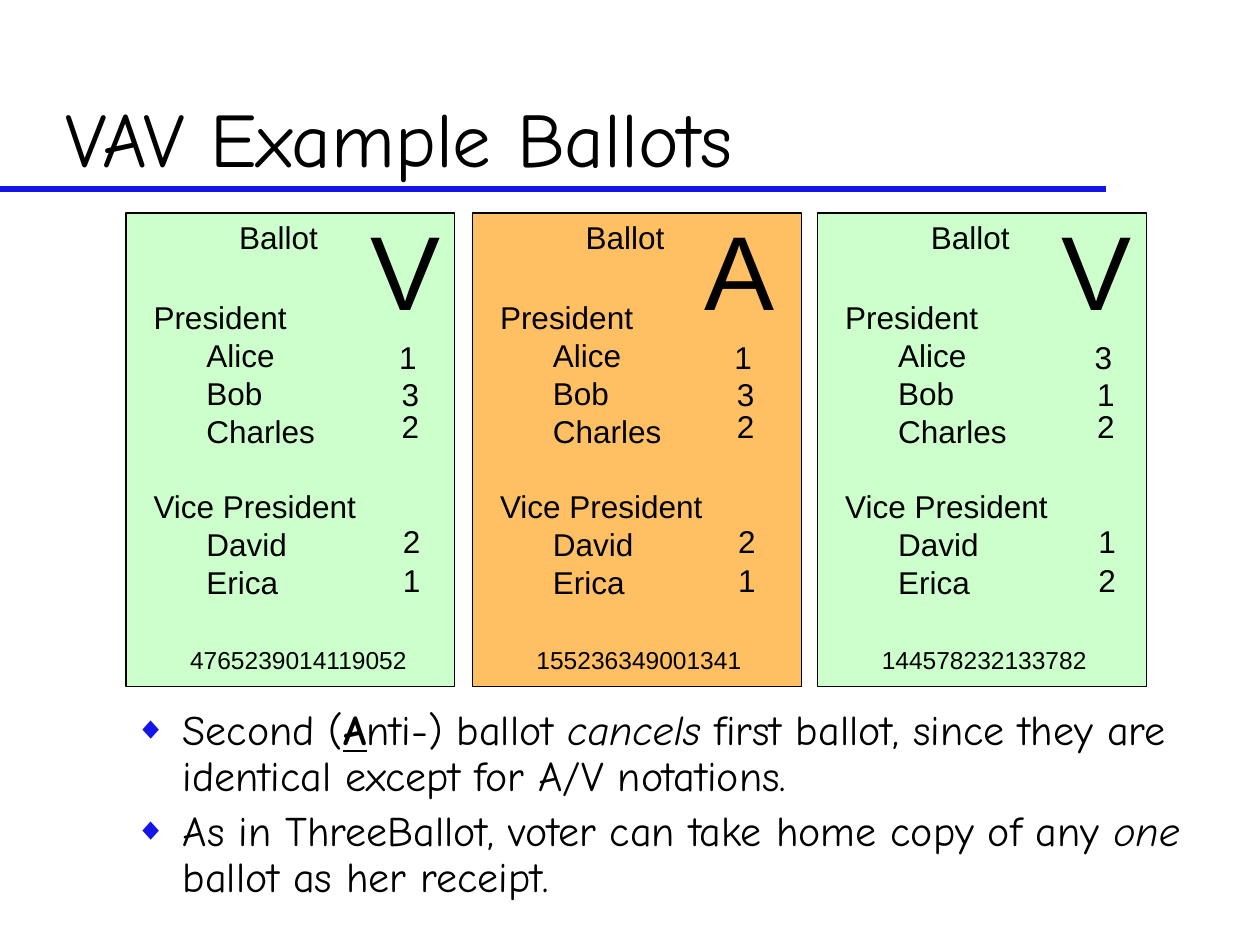
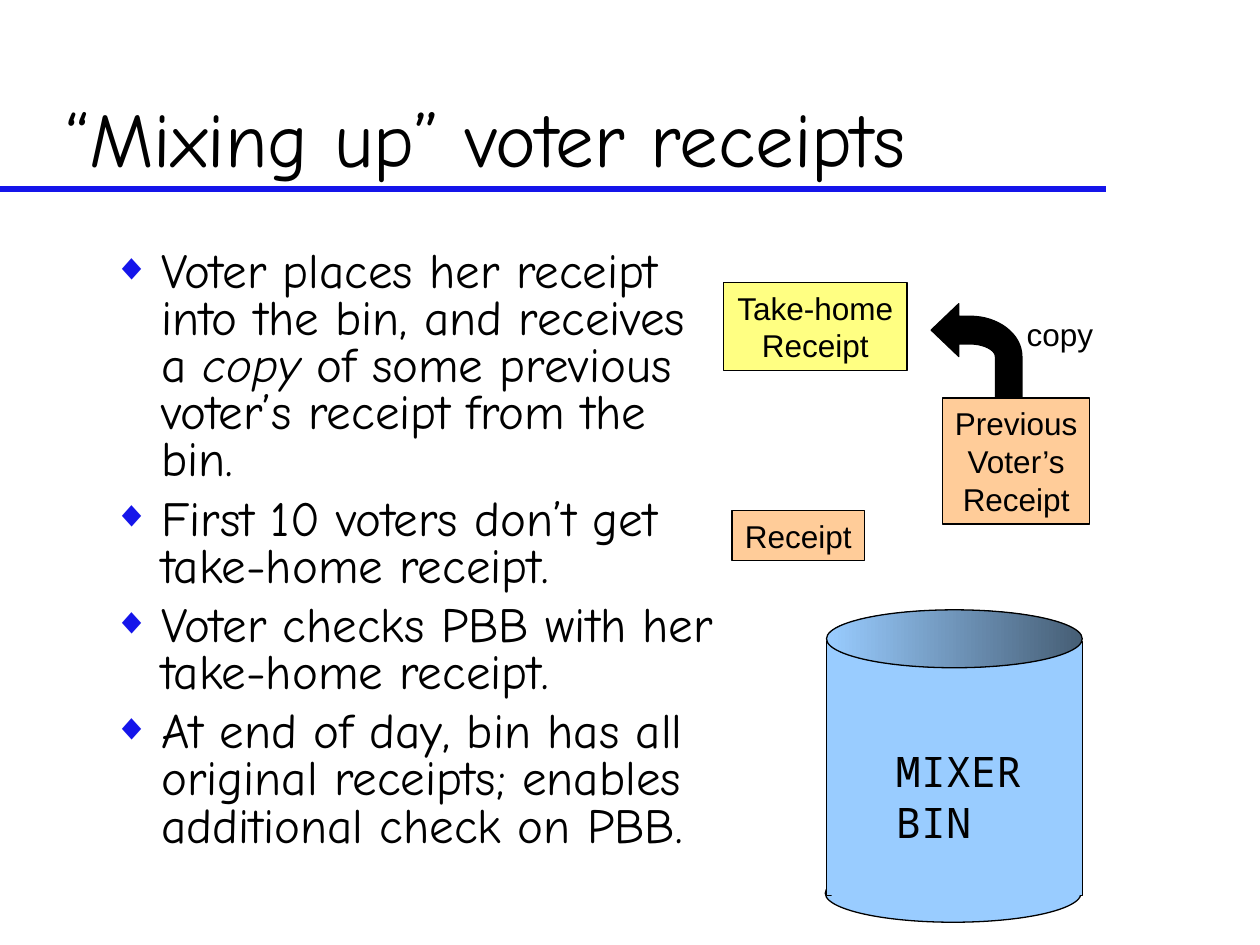
"""Build two slides on VAV example ballots and the mixing of voter receipts."""
from dataclasses import dataclass, field
from typing import Any, NamedTuple

from lxml import etree
from pptx import Presentation
from pptx import slide as sl
from pptx import util as u
from pptx.dml import color as c
from pptx.enum import shapes as es
from pptx.enum import text as et
from pptx.oxml import ns


@dataclass(frozen=True)
class Theme:
    """Hold the colours, fonts and type sizes of the deck."""
    ink: str = "000000"
    accent: str = "1515EA"
    vote: str = "CCFFCC"
    anti: str = "FF9900"
    receipt: str = "FFCC99"
    take_home: str = "FFFF00"
    bin: str = "99CCFF"
    bin_shade: str = "465E75"
    hand: str = "Comic Neue"
    plain: str = "Arial"
    mono: str = "Noto Sans Mono"
    title: float = 44
    label: float = 18
    serial: float = 14
    letter: float = 60
    bin_name: float = 24
    hairline: float = 0.75
    rule: float = 4


class Area(NamedTuple):
    """Place an object by left, top, width and height in inches."""
    left: float
    top: float
    width: float
    height: float

    def lengths(self) -> list[u.Length]:
        """Return the four values as lengths."""
        return [u.Inches(value) for value in self]


class Span(NamedTuple):
    """Describe a stretch of text and its own font values."""
    text: str
    values: dict[str, Any] = {}


@dataclass(frozen=True)
class Para:
    """Describe a paragraph and its paragraph values."""
    spans: list[Span]
    values: dict[str, Any] = field(default_factory=dict)
    indent: float = 0


class Ballot(NamedTuple):
    """Describe one ballot, its letter and its marks."""
    left: float
    letter: str
    letter_left: float
    marks_left: float
    marks: str
    serial: str
    fill: str
    alpha: int = 100


class Label(NamedTuple):
    """Describe a filled box with centred lines."""
    area: Area
    lines: list[str]
    fill: str
    alpha: int = 100


THEME = Theme()
ITALIC = {"italic": True}
CENTRED = {"alignment": et.PP_ALIGN.CENTER}
GROWING = {"word_wrap": False, "auto_size": et.MSO_AUTO_SIZE.SHAPE_TO_FIT_TEXT}
FIXED = {"word_wrap": False, "auto_size": et.MSO_AUTO_SIZE.NONE}
FITTED = {"word_wrap": True, "auto_size": et.MSO_AUTO_SIZE.NONE}

BALLOTS = [
    Ballot(1, "V", 2.84, 3.09, "13221", "4765239014119052", THEME.vote),
    Ballot(3.75, "A", 5.49, 5.75, "13221", "155236349001341", THEME.anti, 61),
    Ballot(6.49, "V", 8.33, 8.61, "31212", "144578232133782", THEME.vote),
]
MARK_OFFSETS = [(-0.02, 2.63), (0, 2.93), (0, 3.18), (0.01, 4.09), (0.01, 4.4)]
RACES = {"President": ["Alice", "Bob", "Charles"],
         "Vice President": ["David", "Erica"]}
BALLOT_POINTS = [
    [Span("Second ("), Span("A", {"bold": True, "underline": True}),
     Span("nti-) ballot "), Span("cancels ", ITALIC),
     Span("first ballot, since they are identical except for A/V notations.")],
    [Span("As in ThreeBallot, voter can take home copy of any "),
     Span("one ", ITALIC), Span("ballot as her receipt.")],
]
RECEIPT_POINTS = [
    [Span("Voter places her receipt into the bin, and receives a "),
     Span("copy", ITALIC),
     Span(" of some previous voter’s receipt from the bin.")],
    [Span("First 10 voters don’t get take-home receipt.")],
    [Span("Voter checks PBB with her take-home receipt.")],
    [Span("At end of day, bin has all original receipts; enables additional "
          "check on PBB.")],
]
RECEIPTS = [
    Label(Area(5.81, 4.05, 1.05, 0.4), ["Receipt"], THEME.receipt),
    Label(Area(7.48, 3.16, 1.17, 1), ["Previous", "Voter’s", "Receipt"],
          THEME.receipt),
    Label(Area(5.74, 2.24, 1.46, 0.7), ["Take-home", "Receipt"],
          THEME.take_home, 49),
]


def assign(target: Any, values: dict[str, Any]) -> None:
    """Set every named value on the target."""
    for name, value in values.items():
        setattr(target, name, value)


def rgb(code: str) -> c.RGBColor:
    """Turn a hex code into a colour."""
    return c.RGBColor.from_string(code)


def write(box: Any, paras: list[Para], size: float, face: str,
          frame_values: dict[str, Any]) -> None:
    """Fill a box with formatted paragraphs."""
    frame = box.text_frame
    assign(frame, frame_values)
    for index, item in enumerate(paras):
        para = frame.paragraphs[0] if index == 0 else frame.add_paragraph()
        if item.indent:
            para._p.get_or_add_pPr().set("marL", str(u.Inches(item.indent)))
        assign(para, {"alignment": et.PP_ALIGN.LEFT, **item.values})
        for part in item.spans:
            span = para.add_run()
            span.text = part.text
            assign(span.font, {"size": u.Pt(size), "name": face, **part.values})
            span.font.color.rgb = rgb(THEME.ink)


def lines(texts: list[str], **values: Any) -> list[Para]:
    """Make one paragraph of each text."""
    return [Para([Span(text)], values) for text in texts]


def add_label(page: sl.Slide, area: Area, paras: list[Para],
              size: float = THEME.label) -> None:
    """Add a text box that grows with its text."""
    box = page.shapes.add_textbox(*area.lengths())
    write(box, paras, size, THEME.plain, GROWING)


def outline(box: Any) -> None:
    """Give a shape a thin dark line and no shadow."""
    box.shadow.inherit = False
    box.line.color.rgb = rgb(THEME.ink)
    box.line.width = u.Pt(THEME.hairline)


def add_block(shapes: Any, kind: es.MSO_SHAPE, area: Area, fill: str,
              alpha: int = 100) -> Any:
    """Add an outlined shape with a plain fill."""
    box = shapes.add_shape(kind, *area.lengths())
    outline(box)
    box.fill.solid()
    box.fill.fore_color.rgb = rgb(fill)
    if alpha < 100:
        code = box._element.spPr.find(f"{ns.qn('a:solidFill')}/{ns.qn('a:srgbClr')}")
        etree.SubElement(code, ns.qn("a:alpha"), val=str(alpha * 1000))
    return box


def add_bullet(para: Any) -> None:
    """Give a paragraph a hanging diamond bullet."""
    props = para._p.get_or_add_pPr()
    hang = u.Inches(0.38)
    props.set("marL", str(hang))
    props.set("indent", str(-hang))
    tint = etree.SubElement(props, ns.qn("a:buClr"))
    etree.SubElement(tint, ns.qn("a:srgbClr"), val=THEME.accent)
    etree.SubElement(props, ns.qn("a:buSzPct"), val="75000")
    etree.SubElement(props, ns.qn("a:buFont"), typeface=THEME.plain)
    etree.SubElement(props, ns.qn("a:buChar"), char="◆")


def add_page(deck: Any, title: str, points: list[list[Span]], area: Area,
             size: float, spacing: float, gap: float) -> sl.Slide:
    """Add a slide with its title and bulleted list."""
    page = deck.slides.add_slide(deck.slide_layouts[1])
    head, body = page.shapes.title, page.placeholders[1]
    for box, place in ((head, Area(0.42, 0.29, 8.5, 1.21)), (body, area)):
        assign(box, dict(zip(("left", "top", "width", "height"), place.lengths())))
    write(head, lines([title]), THEME.title, THEME.hand,
          {**FITTED, "vertical_anchor": et.MSO_ANCHOR.BOTTOM})
    paras = [Para(spans, {"line_spacing": spacing,
                          "space_before": u.Pt(gap if index else 0)})
             for index, spans in enumerate(points)]
    write(body, paras, size, THEME.hand, FITTED)
    for para in body.text_frame.paragraphs:
        add_bullet(para)
    return page


def add_master_rule(deck: Any, page: sl.Slide) -> None:
    """Put the title rule on the slide master."""
    rule = page.shapes.add_connector(es.MSO_CONNECTOR.STRAIGHT, u.Inches(0),
                                     u.Inches(1.5), u.Inches(8.78), u.Inches(1.5))
    rule.line.color.rgb = rgb(THEME.accent)
    rule.line.width = u.Pt(THEME.rule)
    etree.SubElement(rule._element.spPr, ns.qn("a:effectLst"))
    rule._element.nvCxnSpPr.cNvPr.set("id", "20")
    deck.slide_master.shapes.element.append(rule._element)


def race_paras() -> list[Para]:
    """List the races with their indented candidates."""
    paras = []
    for race, names in RACES.items():
        gap = {"space_before": u.Pt(THEME.label * 1.2 if paras else 0)}
        paras.append(Para([Span(race)], gap))
        paras += [Para([Span(name)], indent=0.42) for name in names]
    return paras


def add_ballot(page: sl.Slide, ballot: Ballot) -> None:
    """Draw one ballot with its letter, races, marks and serial number."""
    left = ballot.left
    add_block(page.shapes, es.MSO_SHAPE.RECTANGLE, Area(left, 1.69, 2.61, 3.76),
              ballot.fill, ballot.alpha)
    add_label(page, Area(left + 0.8, 1.68, 0.86, 0.4), lines(["Ballot"]))
    add_label(page, Area(left + 0.12, 2.32, 1.85, 2.5), race_paras())
    serial_width = 0.25 + 0.11 * len(ballot.serial)
    add_label(page, Area(left + 0.41, 5.07, serial_width, 0.34),
              lines([ballot.serial]), THEME.serial)
    add_label(page, Area(ballot.letter_left, 1.58, 0.75, 1.1),
              lines([ballot.letter]), THEME.letter)
    for mark, (shift, top) in zip(ballot.marks, MARK_OFFSETS):
        add_label(page, Area(ballot.marks_left + shift, top, 0.34, 0.4), lines([mark]))


def curve(*knots: tuple[float, float], steps: int = 16) -> list[tuple[float, float]]:
    """Sample a cubic curve after its first point."""
    points = []
    for step in range(1, steps + 1):
        t = step / steps
        weights = ((1 - t) ** 3, 3 * t * (1 - t) ** 2, 3 * t * t * (1 - t), t ** 3)
        points.append(tuple(sum(w * knot[axis] for w, knot in zip(weights, knots))
                            for axis in (0, 1)))
    return points


def add_copy_arrow(page: sl.Slide) -> None:
    """Draw the bent arrow from the previous receipt to the take-home one."""
    points = [(8.11, 3.16), (8.11, 2.83),
              *curve((8.11, 2.83), (8.11, 2.65), (7.92, 2.51), (7.7, 2.51)),
              (7.61, 2.51), (7.61, 2.41), (7.39, 2.62), (7.61, 2.83),
              (7.61, 2.73), (7.7, 2.73),
              *curve((7.7, 2.73), (7.81, 2.73), (7.9, 2.78), (7.9, 2.83)),
              (7.9, 3.16)]
    start, *rest = [(u.Inches(x), u.Inches(y)) for x, y in points]
    builder = page.shapes.build_freeform(*start)
    builder.add_line_segments(rest, close=True)
    arrow = builder.convert_to_shape()
    outline(arrow)
    arrow.fill.solid()
    arrow.fill.fore_color.rgb = rgb(THEME.ink)


def add_bin(page: sl.Slide) -> None:
    """Draw the mixer bin as a cylinder with its name."""
    parts = page.shapes.add_group_shape().shapes
    oval, side = es.MSO_SHAPE.OVAL, es.MSO_SHAPE.RECTANGLE
    add_block(parts, oval, Area(6.55, 6.86, 2.03, 0.46), THEME.bin)
    add_block(parts, side, Area(6.56, 5.09, 2.03, 2.02), THEME.bin)
    lid = add_block(parts, oval, Area(6.56, 4.84, 2.03, 0.46), THEME.bin)
    lid.fill.gradient()
    lid.fill.gradient_angle = 180
    for stop, code in zip(lid.fill.gradient_stops, (THEME.bin_shade, THEME.bin)):
        stop.color.rgb = rgb(code)
    seam = add_block(parts, side, Area(6.6, 6.73, 1.97, 0.38), THEME.bin)
    seam.line.fill.background()
    name = page.shapes.add_textbox(*Area(7.01, 5.87, 1.3, 0.78).lengths())
    write(name, lines(["MIXER", "BIN"]), THEME.bin_name, THEME.mono, FIXED)


def main() -> None:
    """Build and save the deck."""
    deck = Presentation()
    assign(deck, {"slide_width": u.Inches(10), "slide_height": u.Inches(7.5)})
    page = add_page(deck, "VAV Example Ballots", BALLOT_POINTS,
                    Area(0.97, 5.58, 8.7, 1.86), 24, 0.9, 6)
    add_master_rule(deck, page)
    for ballot in BALLOTS:
        add_ballot(page, ballot)
    page = add_page(deck, "“Mixing up” voter receipts", RECEIPT_POINTS,
                    Area(0.8, 1.94, 4.96, 5.56), 28, 0.8, 7)
    add_bin(page)
    for label in RECEIPTS:
        box = add_block(page.shapes, es.MSO_SHAPE.RECTANGLE, label.area,
                        label.fill, label.alpha)
        write(box, lines(label.lines, **CENTRED), THEME.label, THEME.plain, GROWING)
    add_copy_arrow(page)
    add_label(page, Area(8.05, 2.45, 0.73, 0.4), lines(["copy"]))
    deck.save("out.pptx")


if __name__ == "__main__":
    main()
